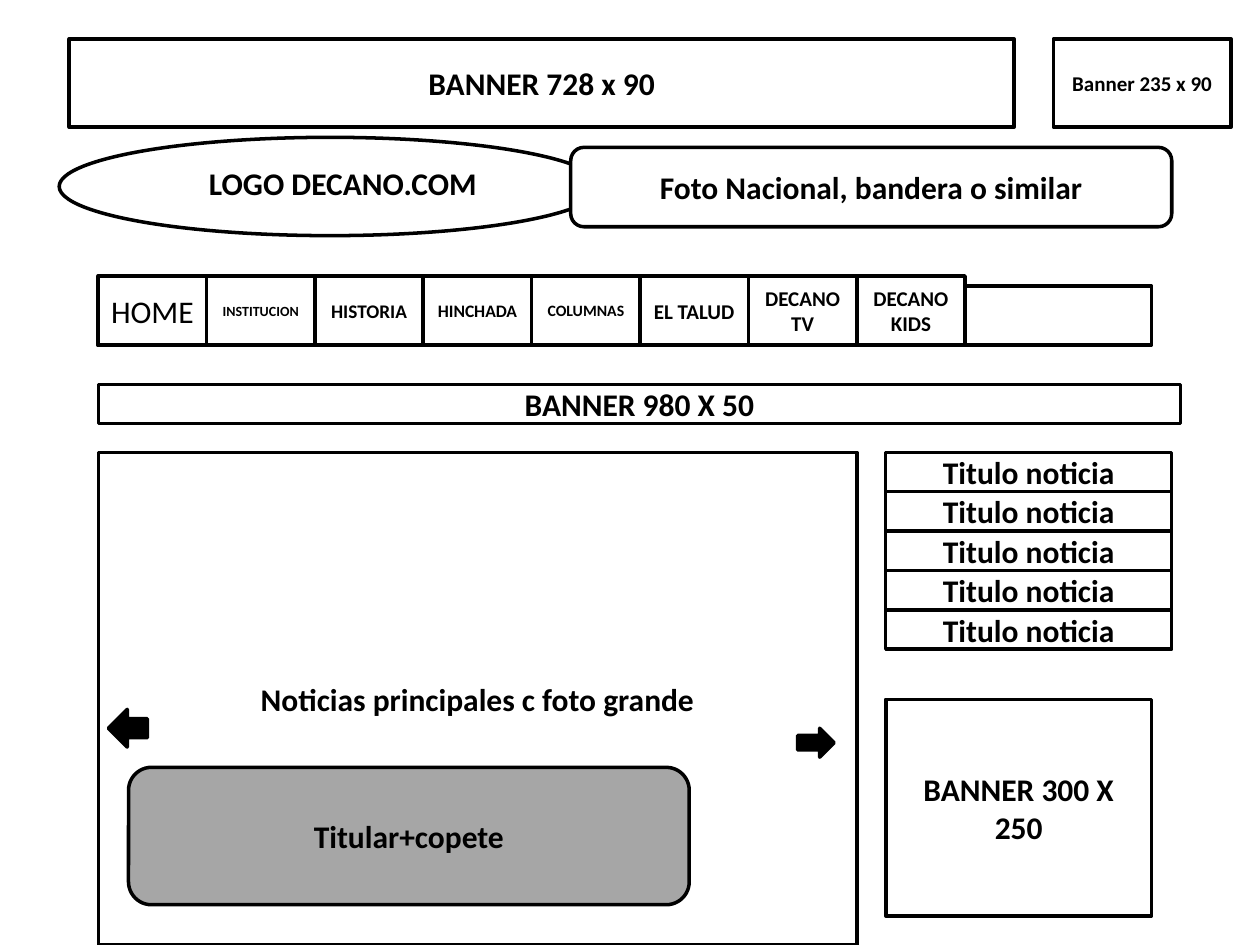
from dataclasses import dataclass
from typing import Optional

import pptx
import pptx.dml.color
import pptx.enum.shapes
import pptx.enum.text
import pptx.util

Inches = pptx.util.Inches
Kind = pptx.enum.shapes.MSO_SHAPE
Align = pptx.enum.text.PP_ALIGN

BLACK, WHITE, GREY = "000000", "FFFFFF", "A6A6A6"


@dataclass
class Block:
    left: float
    top: float
    width: float
    height: float
    label: str = ""
    size: float = 18
    bold: bool = True
    kind: Kind = Kind.RECTANGLE
    fill: Optional[str] = WHITE


def rgb(value: str) -> pptx.dml.color.RGBColor:
    return pptx.dml.color.RGBColor.from_string(value)


def write_label(frame, block: Block, align: Align) -> None:
    frame.text = block.label
    paragraph = frame.paragraphs[0]
    paragraph.alignment = align
    font = paragraph.runs[0].font
    font.name = "Calibri"
    font.size = pptx.util.Pt(block.size)
    font.bold = block.bold
    font.color.rgb = rgb(BLACK)


def draw_block(slide, block: Block) -> None:
    shape = slide.shapes.add_shape(
        block.kind, Inches(block.left), Inches(block.top),
        Inches(block.width), Inches(block.height))
    shape.shadow.inherit = False
    if block.fill is None:
        shape.fill.background()
    else:
        shape.fill.solid()
        shape.fill.fore_color.rgb = rgb(block.fill)
    shape.line.color.rgb = rgb(BLACK)
    shape.line.width = pptx.util.Pt(2)
    if block.label:
        shape.text_frame.vertical_anchor = pptx.enum.text.MSO_ANCHOR.MIDDLE
        write_label(shape.text_frame, block, Align.CENTER)


def draw_caption(slide, block: Block) -> None:
    box = slide.shapes.add_textbox(
        Inches(block.left), Inches(block.top),
        Inches(block.width), Inches(block.height))
    box.text_frame.word_wrap = False
    box.text_frame.auto_size = pptx.enum.text.MSO_AUTO_SIZE.SHAPE_TO_FIT_TEXT
    write_label(box.text_frame, block, Align.LEFT)


def main() -> None:
    deck = pptx.Presentation()
    deck.slide_width, deck.slide_height = Inches(10), Inches(7.5)
    slide = deck.slides.add_slide(deck.slide_layouts[6])

    # Top banners and site header
    draw_block(slide, Block(0.55, 0.31, 7.5, 0.7, "BANNER 728 x 90"))
    draw_block(slide, Block(8.36, 0.31, 1.41, 0.7, "Banner 235 x 90", 12))
    draw_block(slide, Block(0.47, 1.09, 4.3, 0.78, kind=Kind.OVAL, fill=None))
    draw_caption(slide, Block(1.56, 1.25, 2.35, 0.4, "LOGO DECANO.COM"))
    draw_block(slide, Block(4.53, 1.17, 4.77, 0.63,
                            "Foto Nacional, bandera o similar",
                            kind=Kind.ROUNDED_RECTANGLE))

    # Main news with its carousel arrows and headline
    draw_block(slide, Block(0.78, 3.59, 6.02, 3.91,
                            "Noticias principales c foto grande"))
    draw_block(slide, Block(6.33, 5.78, 0.29, 0.23,
                            kind=Kind.RIGHT_ARROW, fill=BLACK))
    draw_block(slide, Block(0.86, 5.63, 0.31, 0.3,
                            kind=Kind.LEFT_ARROW, fill=BLACK))
    draw_block(slide, Block(1.02, 6.09, 4.45, 1.09, "Titular+copete",
                            kind=Kind.ROUNDED_RECTANGLE, fill=GREY))

    # Side column: headlines stacked above a banner
    headline_height = 0.3125
    for row in range(5):
        draw_block(slide, Block(7.03, 3.59 + row * headline_height,
                                2.27, headline_height, "Titulo noticia"))
    draw_block(slide, Block(7.03, 5.55, 2.11, 1.72, "BANNER 300 X 250"))

    # Wide banner below the menu
    draw_block(slide, Block(0.78, 3.05, 8.59, 0.31, "BANNER 980 X 50"))

    # Menu bar and its tabs
    draw_block(slide, Block(0.78, 2.27, 8.36, 0.47))
    tab_width = 0.86
    tabs = [("HOME", 18), ("INSTITUCION", 8), ("HISTORIA", 11),
            ("HINCHADA", 10), ("COLUMNAS", 9), ("EL TALUD", 12),
            ("DECANO TV", 12), ("DECANO KIDS", 12)]
    for column, (label, size) in enumerate(tabs):
        draw_block(slide, Block(0.78 + column * tab_width, 2.19, tab_width, 0.55,
                                label, size, bold=label != "HOME"))

    deck.save("out.pptx")


if __name__ == "__main__":
    main()
